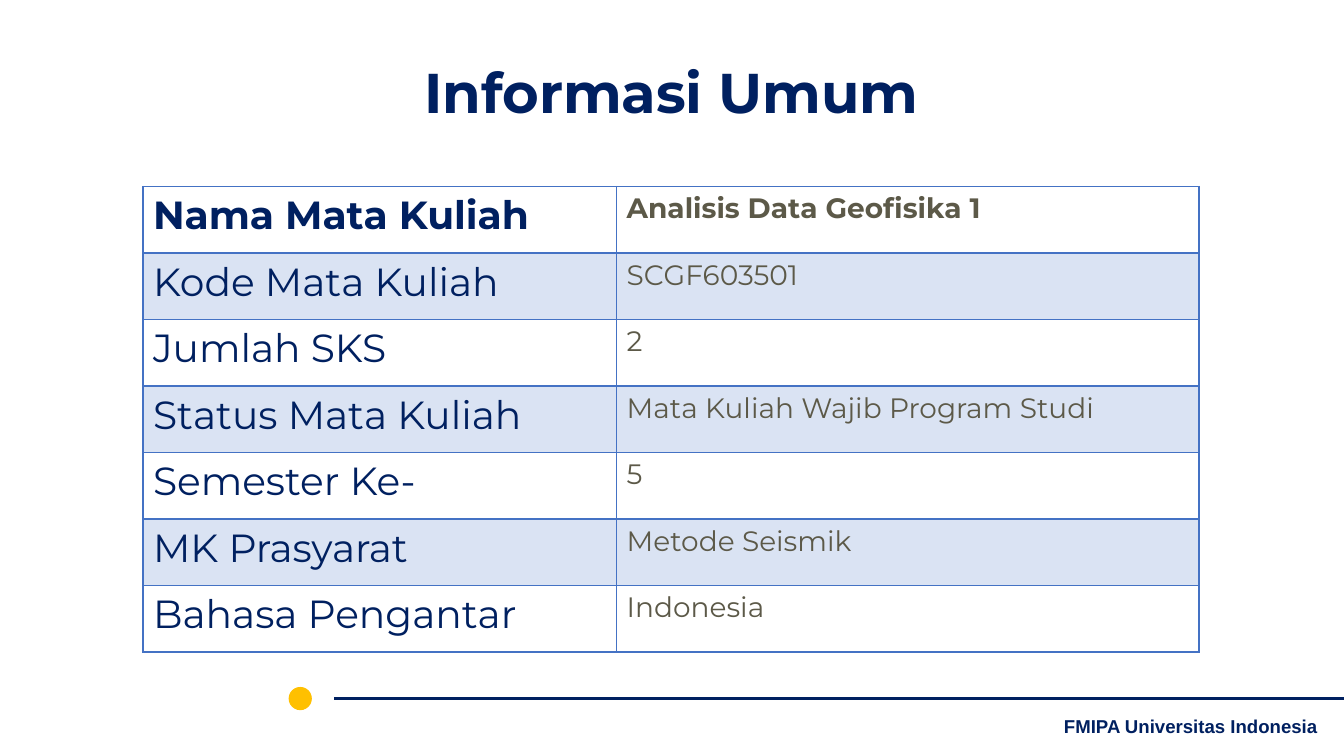
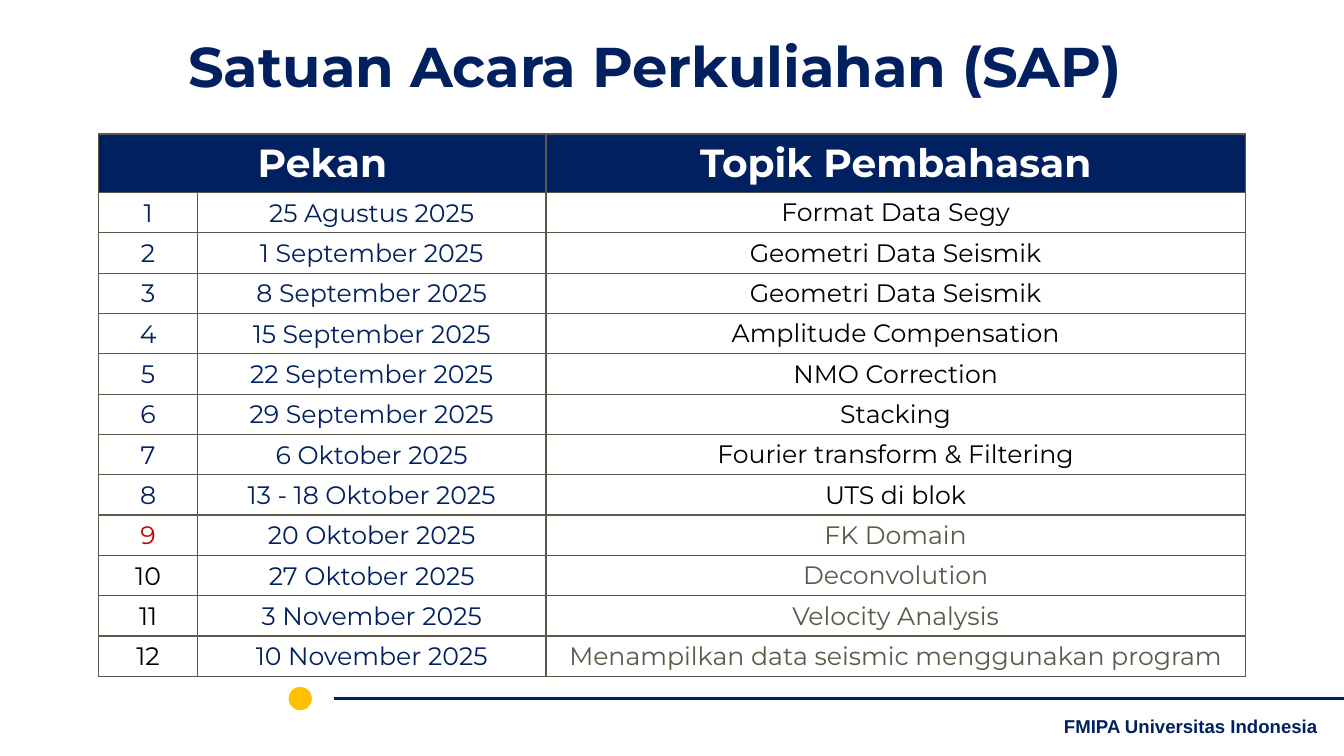
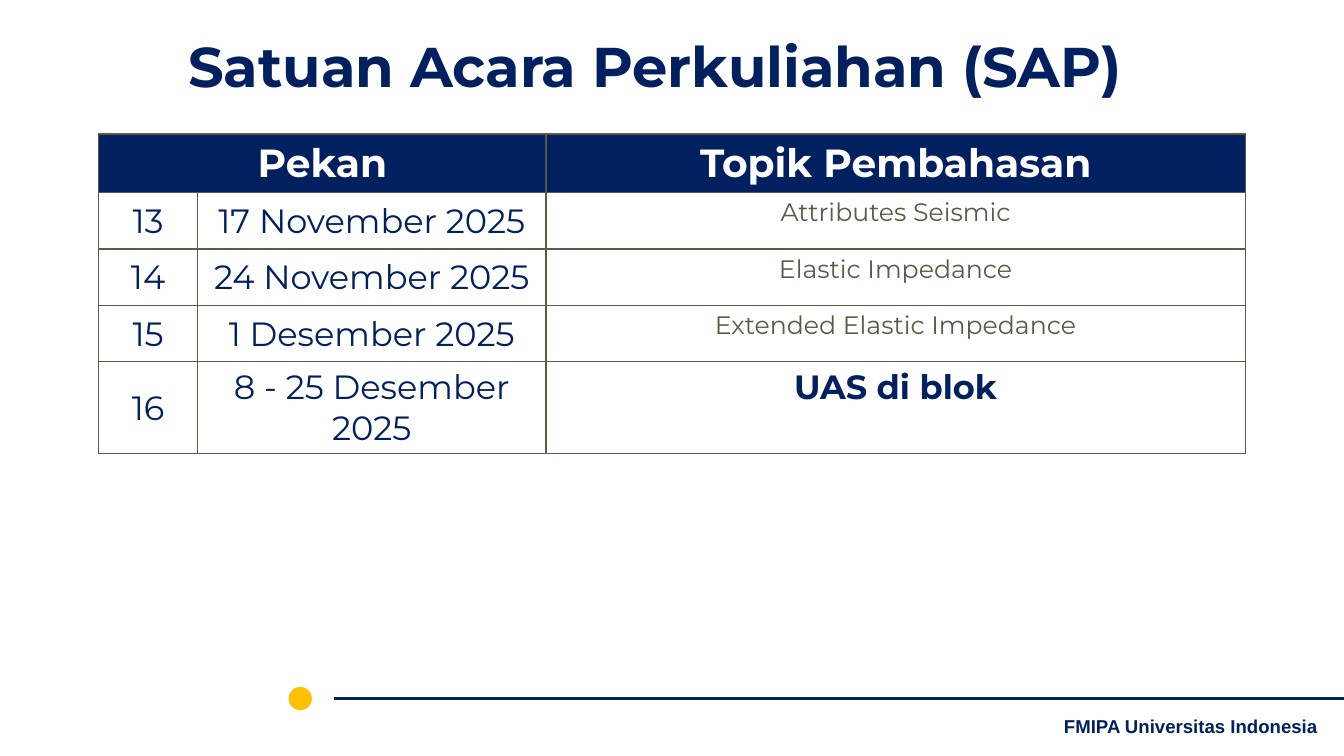
from dataclasses import dataclass, replace

from lxml import etree
from pptx import Presentation
from pptx.dml.color import RGBColor
from pptx.enum.shapes import MSO_CONNECTOR, MSO_SHAPE
from pptx.enum.text import MSO_ANCHOR, MSO_AUTO_SIZE, PP_ALIGN
from pptx.oxml.ns import qn
from pptx.util import Inches, Pt

NAVY, BROWN, BLUE, PALE_BLUE = "002060", "5C5948", "4472C4", "DAE3F3"
GOLD, RED, BLACK, WHITE = "FFC000", "C00000", "000000", "FFFFFF"
FONT = "Montserrat"
SLIDE_WIDTH, SLIDE_HEIGHT = 13.34, 7.5

COURSE_FACTS = [
    ("Nama Mata Kuliah", "Analisis Data Geofisika 1"),
    ("Kode Mata Kuliah", "SCGF603501"),
    ("Jumlah SKS", "2"),
    ("Status Mata Kuliah", "Mata Kuliah Wajib Program Studi"),
    ("Semester Ke-", "5"),
    ("MK Prasyarat", "Metode Seismik"),
    ("Bahasa Pengantar", "Indonesia"),
]
FIRST_WEEKS = [
    ("25 Agustus 2025", "Format Data Segy"),
    ("1 September 2025", "Geometri Data Seismik"),
    ("8 September 2025", "Geometri Data Seismik"),
    ("15 September 2025", "Amplitude Compensation"),
    ("22 September 2025", "NMO Correction"),
    ("29 September 2025", "Stacking"),
    ("6 Oktober 2025", "Fourier transform & Filtering"),
    ("13 - 18 Oktober 2025", "UTS di blok"),
    ("20 Oktober 2025", "FK Domain"),
    ("27 Oktober 2025", "Deconvolution"),
    ("3 November 2025", "Velocity Analysis"),
    ("10 November 2025", "Menampilkan data seismic menggunakan program"),
]
LAST_WEEKS = [
    ("17 November 2025", "Attributes Seismic"),
    ("24 November 2025", "Elastic Impedance"),
    ("1 Desember 2025", "Extended Elastic Impedance"),
    ("8 - 25 Desember 2025", "UAS di blok"),
]


@dataclass(frozen=True)
class CellStyle:
    size: float
    color: str
    bold: bool = False
    align: PP_ALIGN = PP_ALIGN.CENTER
    anchor: MSO_ANCHOR = MSO_ANCHOR.MIDDLE
    fill: str = ""
    border: str = BROWN
    top: float = 1
    bottom: float = 1


HEADER = CellStyle(28, WHITE, bold=True, fill=NAVY)


def rgb(color):
    return RGBColor.from_string(color)


def write(frame, text, size, color, bold, align=PP_ALIGN.CENTER, font=FONT):
    para = frame.paragraphs[0]
    para.text = text
    para.alignment = align
    para.font.name = font
    para.font.size = Pt(size)
    para.font.bold = bold
    para.font.color.rgb = rgb(color)


def set_borders(cell, style):
    """Put the four border lines ahead of the fill, as the schema asks."""
    properties = cell._tc.get_or_add_tcPr()
    widths = {"lnL": 1, "lnR": 1, "lnT": style.top, "lnB": style.bottom}
    for index, (side, width) in enumerate(widths.items()):
        line = etree.Element(qn(f"a:{side}"), w=str(Pt(width)))
        solid = etree.SubElement(line, qn("a:solidFill"))
        etree.SubElement(solid, qn("a:srgbClr"), val=style.border)
        properties.insert(index, line)


def style_cell(cell, style, text=""):
    if style.fill:
        cell.fill.solid()
        cell.fill.fore_color.rgb = rgb(style.fill)
    else:
        cell.fill.background()
    cell.vertical_anchor = style.anchor
    cell.margin_bottom = Inches(0.04)
    write(cell.text_frame, text, style.size, style.color, style.bold, style.align)
    set_borders(cell, style)


def add_grid(slide, left, top, widths, heights):
    frame = slide.shapes.add_table(
        len(heights), len(widths), Inches(left), Inches(top),
        Inches(sum(widths)), Inches(sum(heights)))
    table = frame.table
    table.first_row = table.horz_banding = False
    for column, width in zip(table.columns, widths):
        column.width = Inches(width)
    for row, height in zip(table.rows, heights):
        row.height = Inches(height)
    return table


def add_titled_slide(deck, layout, text, left, top, width):
    slide = deck.slides.add_slide(layout)
    title = slide.shapes.title
    title.left, title.top = Inches(left), Inches(top)
    title.width, title.height = Inches(width), Inches(0.77)
    frame = title.text_frame
    frame.auto_size = MSO_AUTO_SIZE.NONE
    frame.vertical_anchor = MSO_ANCHOR.TOP
    write(frame, text, 40, NAVY, True)
    return slide


def add_footer(slide, layout):
    """Draw the footer with the slide's tools, then move it to the layout."""
    shapes = slide.shapes
    rule = shapes.add_connector(MSO_CONNECTOR.STRAIGHT, Inches(3.32), Inches(6.93),
                                Inches(SLIDE_WIDTH), Inches(6.93))
    rule.line.color.rgb = rgb(NAVY)
    rule.line.width = Pt(1.5)
    etree.SubElement(rule.element.spPr, qn("a:effectLst"))

    dot = shapes.add_shape(MSO_SHAPE.OVAL, Inches(2.87), Inches(6.82),
                           Inches(0.22), Inches(0.22))
    dot.shadow.inherit = False
    dot.fill.solid()
    dot.fill.fore_color.rgb = dot.line.color.rgb = rgb(GOLD)
    dot.line.width = Pt(0.75)

    label = shapes.add_textbox(Inches(10.3), Inches(7.08), Inches(3.04), Inches(0.25))
    frame = label.text_frame
    frame.word_wrap = True
    frame.vertical_anchor = MSO_ANCHOR.MIDDLE
    frame.margin_left = frame.margin_right = Inches(0.13)
    frame.margin_top = frame.margin_bottom = Inches(0.13)
    write(frame, "FMIPA Universitas Indonesia", 13.3, NAVY, True, font="Arial")

    for shape in (rule, dot, label):
        layout.shapes.element.append(shape.element)


def add_course_table(slide, facts):
    table = add_grid(slide, 1.42, 1.85, [4.7, 5.78], [0.66] * len(facts))
    for row, (name, value) in enumerate(facts):
        name_style = CellStyle(
            28, NAVY, bold=row == 0, align=PP_ALIGN.LEFT, anchor=MSO_ANCHOR.TOP,
            fill=PALE_BLUE if row % 2 else "", border=BLUE,
            top=2 if row == 1 else 1, bottom=2 if row == 0 else 1)
        style_cell(table.cell(row, 0), name_style, name)
        style_cell(table.cell(row, 1), replace(name_style, size=20, color=BROWN), value)


def add_schedule(slide, weeks, first_week, heights, size):
    table = add_grid(slide, 0.98, 1.33, [0.98, 3.46, 6.94], [0.58] + heights)
    for column, text in enumerate(("Pekan", "", "Topik Pembahasan")):
        style_cell(table.cell(0, column), HEADER, text)
    table.cell(0, 0).merge(table.cell(0, 1))

    date_style = CellStyle(size, NAVY)
    for row, (date, topic) in enumerate(weeks, start=1):
        week = first_week + row - 1
        week_color = {9: RED, 10: BLACK, 11: BLACK, 12: BLACK}.get(week, NAVY)
        topic_style = CellStyle(18, BLACK if week <= 8 else BROWN, anchor=MSO_ANCHOR.TOP)
        if week == 16:
            topic_style = replace(topic_style, size=size, color=NAVY, bold=True)
        style_cell(table.cell(row, 0), replace(date_style, color=week_color), str(week))
        style_cell(table.cell(row, 1), date_style, date)
        style_cell(table.cell(row, 2), topic_style, topic)


def main():
    deck = Presentation()
    deck.slide_width, deck.slide_height = Inches(SLIDE_WIDTH), Inches(SLIDE_HEIGHT)
    layout = deck.slide_layouts.get_by_name("Title Only")

    overview = add_titled_slide(deck, layout, "Informasi Umum", 2.95, 0.52, 7.43)
    add_footer(overview, layout)
    add_course_table(overview, COURSE_FACTS)

    schedules = [
        (FIRST_WEEKS, 1, [0.4] * 12, 18),
        (LAST_WEEKS, 13, [0.56] * 3 + [0.91], 24),
    ]
    for schedule in schedules:
        slide = add_titled_slide(deck, layout, "Satuan Acara Perkuliahan (SAP)",
                                 1.65, 0.26, 9.7)
        add_schedule(slide, *schedule)

    deck.save("out.pptx")


if __name__ == "__main__":
    main()
